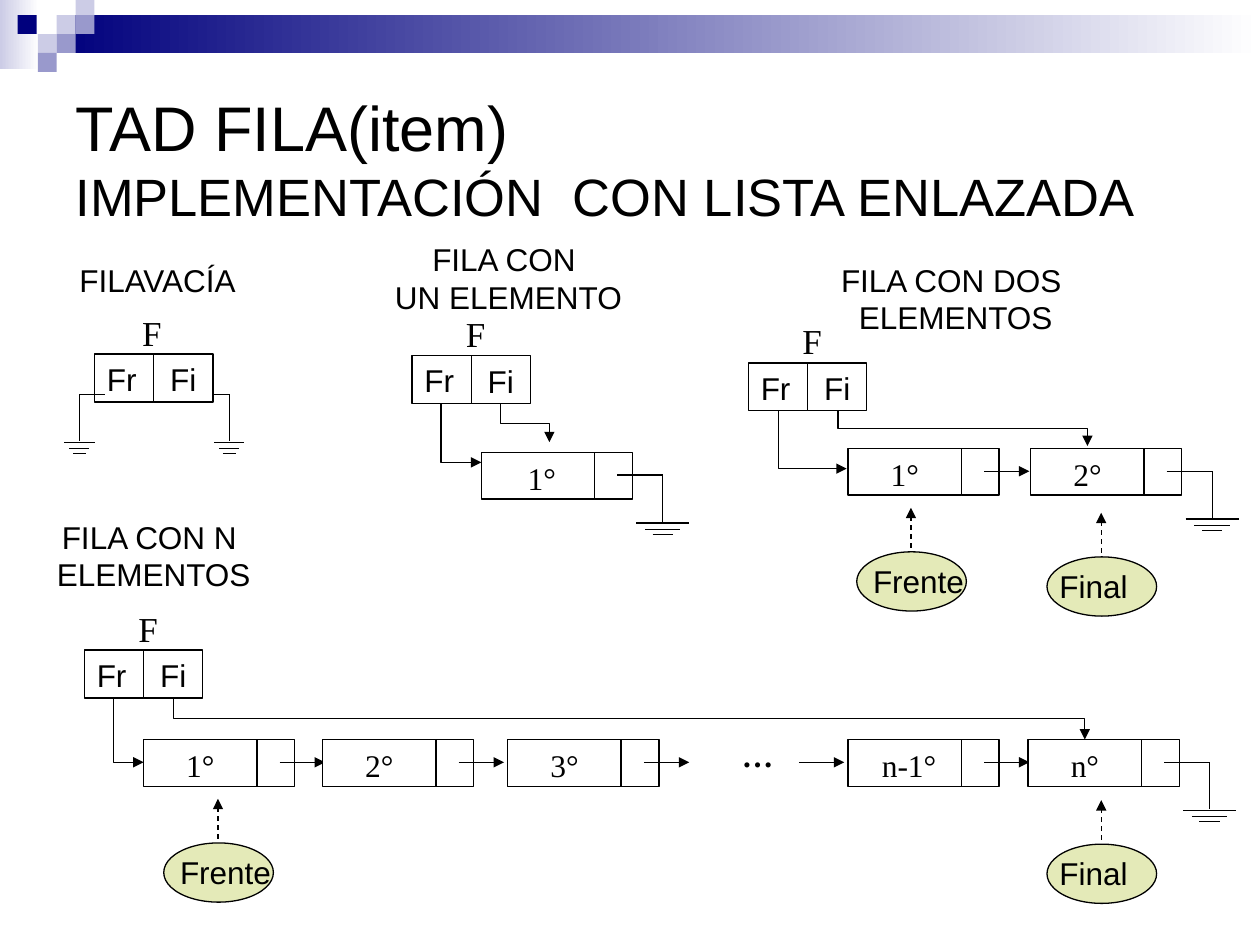
"""Build a slide that shows queues implemented with linked lists."""
from dataclasses import dataclass
from typing import Optional

from lxml.etree import SubElement
from pptx import Presentation
from pptx.dml.color import RGBColor
from pptx.enum.dml import MSO_LINE_DASH_STYLE as Dash
from pptx.enum.shapes import MSO_CONNECTOR as Connector, MSO_SHAPE as Shape
from pptx.enum.text import MSO_ANCHOR as Anchor, PP_ALIGN as Align
from pptx.oxml.ns import qn
from pptx.util import Inches, Pt

BLACK, WHITE, GREEN = "000000", "FFFFFF", "E4EAB8"
NAVY, LILAC, VIOLET = "00007D", "CCCCE6", "9999CC"
SANS, SERIF = "Arial", "Times New Roman"
LINK_START, LINK_END = 1.08, 1.44


@dataclass
class Header:
    left: float
    top: float
    name_gap: float = 0.24


@dataclass
class Node:
    left: float
    top: float
    label: str
    link: str = "arrow"
    label_gap: float = 0.24
    label_width: float = 0.54


@dataclass
class Marker:
    left: float
    top: float
    label: str
    label_gap: float
    label_width: float


@dataclass
class Caption:
    left: float
    top: float
    width: float
    height: float
    text: str


def color(value: str) -> RGBColor:
    """Turn a hex string into a colour."""
    return RGBColor.from_string(value)


def apply_format(target, values: dict) -> None:
    """Set every format value on the target."""
    for name, value in values.items():
        setattr(target, name, value)


def format_text(frame, size: float, font: str, align=Align.CENTER, bold: bool = False) -> None:
    """Give all paragraphs of a frame one look."""
    for paragraph in frame.paragraphs:
        paragraph.alignment = align
        for run in paragraph.runs:
            apply_format(run.font, {"size": Pt(size), "name": font, "bold": bold})
            run.font.color.rgb = color(BLACK)


def draw_shape(slide, kind, left: float, top: float, width: float, height: float,
               fill: str, line: Optional[str] = BLACK):
    """Draw a filled preset shape, outlined unless line is None."""
    shape = slide.shapes.add_shape(kind, Inches(left), Inches(top), Inches(width), Inches(height))
    shape.shadow.inherit = False
    shape.fill.solid()
    shape.fill.fore_color.rgb = color(fill)
    if line:
        shape.line.color.rgb = color(line)
        shape.line.width = Pt(0.75)
    else:
        shape.line.fill.background()
    return shape


def draw_text(slide, left: float, top: float, width: float, height: float, text: str,
              size: float = 18, font: str = SANS, align=Align.CENTER,
              wrap: bool = True, bold: bool = False) -> None:
    """Draw a text box."""
    box = slide.shapes.add_textbox(Inches(left), Inches(top), Inches(width), Inches(height))
    box.text_frame.word_wrap = wrap
    box.text_frame.text = text
    format_text(box.text_frame, size, font, align, bold)


def style_connector(connector, arrow: bool, weight: float = 0.75, dashed: bool = False) -> None:
    """Set the stroke and arrowhead of a connector and drop its shadow."""
    connector.line.color.rgb = color(BLACK)
    connector.line.width = Pt(weight)
    if dashed:
        connector.line.dash_style = Dash.DASH
    properties = connector._element.spPr
    if arrow:
        SubElement(properties.find(qn("a:ln")), qn("a:tailEnd")).set("type", "triangle")
    SubElement(properties, qn("a:effectLst"))


def draw_line(slide, x1: float, y1: float, x2: float, y2: float, arrow: bool = False,
              weight: float = 0.75, dashed: bool = False) -> None:
    """Draw a straight line or arrow."""
    connector = slide.shapes.add_connector(
        Connector.STRAIGHT, Inches(x1), Inches(y1), Inches(x2), Inches(y2))
    style_connector(connector, arrow, weight, dashed)


def draw_elbow(slide, x1: float, y1: float, x2: float, y2: float, kind: str) -> None:
    """Draw a bent arrow that leaves downwards, as a mirrored quarter turn."""
    middle_x, middle_y = (x1 + x2) / 2, (y1 + y2) / 2
    half_width, half_height = (y2 - y1) / 2, (x2 - x1) / 2
    connector = slide.shapes.add_connector(
        Connector.ELBOW,
        Inches(middle_x - half_width), Inches(middle_y - half_height),
        Inches(middle_x + half_width), Inches(middle_y + half_height))
    properties = connector._element.spPr
    properties.find(qn("a:prstGeom")).set("prst", kind)
    for name, value in {"rot": "16200000", "flipH": "1"}.items():
        properties.find(qn("a:xfrm")).set(name, value)
    style_connector(connector, arrow=True)


def draw_ground(slide, start: float, stem: float, top: float,
                half_widths: tuple, weight: float = 0.75) -> None:
    """Draw the null symbol: a lead, a stem and three shrinking bars."""
    draw_line(slide, start, top, stem, top)
    draw_line(slide, stem, top, stem, top + 0.37, weight=weight)
    for half_width, drop in zip(half_widths, (0.38, 0.43, 0.47)):
        draw_line(slide, stem - half_width, top + drop, stem + half_width, top + drop)


def draw_header(slide, header: Header) -> None:
    """Draw the F record with its Fr and Fi cells."""
    left, top = header.left, header.top
    draw_text(slide, left + header.name_gap, top - 0.39, 0.53, 0.57, "F", 20, SERIF)
    draw_shape(slide, Shape.RECTANGLE, left, top, 0.47, 0.38, WHITE)
    draw_text(slide, left, top, 0.47, 0.4, "Fr", align=Align.LEFT)
    cell = draw_shape(slide, Shape.RECTANGLE, left + 0.47, top, 0.47, 0.38, WHITE)
    cell.text_frame.text = "Fi"
    cell.text_frame.vertical_anchor = Anchor.TOP
    format_text(cell.text_frame, 18, SANS)


def draw_node(slide, node: Node) -> None:
    """Draw a list node with its outgoing link."""
    left, top = node.left, node.top
    draw_shape(slide, Shape.RECTANGLE, left, top, 0.9, 0.37, WHITE)
    draw_shape(slide, Shape.RECTANGLE, left + 0.9, top, 0.3, 0.37, WHITE)
    draw_text(slide, left + node.label_gap, top, node.label_width, 0.56, node.label,
              font=SERIF, align=Align.LEFT)
    start, end, middle = left + LINK_START, left + LINK_END, top + 0.18
    if node.link == "arrow":
        draw_line(slide, start, middle, end, middle, arrow=True)
    else:
        draw_ground(slide, start, end, middle, (0.21, 0.14, 0.08), 0.5)


def draw_marker(slide, marker: Marker) -> None:
    """Draw an oval label with a dashed arrow upwards."""
    left, top = marker.left, marker.top
    draw_line(slide, left + 0.43, top + 0.04, left + 0.43, top - 0.35, arrow=True, dashed=True)
    draw_shape(slide, Shape.OVAL, left, top, 0.87, 0.47, GREEN)
    draw_text(slide, left + marker.label_gap, top + 0.03, marker.label_width, 0.4,
              marker.label, wrap=False)


def draw_banner(slide) -> None:
    """Draw the gradient bars and the mosaic of squares."""
    for left, top, width, height, start in ((0, -0.03, 0.31, 0.58, LILAC),
                                            (0.45, 0.12, 9.55, 0.3, NAVY)):
        bar = draw_shape(slide, Shape.RECTANGLE, left, top, width, height, WHITE, None)
        bar.fill.gradient()
        bar.fill.gradient_angle = 0
        for stop, value in zip(bar.fill.gradient_stops, (start, WHITE)):
            stop.color.rgb = color(value)
    for left, top, fill in ((0.45, 0.12, LILAC), (0.6, -0.03, LILAC), (0.6, 0.12, VIOLET),
                            (0.3, 0.27, LILAC), (0.14, 0.12, NAVY), (0.45, 0.27, VIOLET),
                            (0.3, 0.42, VIOLET)):
        draw_shape(slide, Shape.RECTANGLE, left, top, 0.15, 0.15, fill, None)


def write_title(title) -> None:
    """Fill the title placeholder with two lines."""
    apply_format(title, {"left": Inches(0.5), "top": Inches(0.5),
                         "width": Inches(9), "height": Inches(1.5)})
    title.text_frame.vertical_anchor = Anchor.MIDDLE
    title.text_frame.text = "TAD FILA(item)\vIMPLEMENTACIÓN  CON LISTA ENLAZADA"
    format_text(title.text_frame, 36, SANS, Align.LEFT)
    title.text_frame.paragraphs[0].runs[1].font.size = Pt(30)


CAPTIONS = (Caption(0.51, 2.02, 1.48, 0.4, "FILAVACÍA"),
            Caption(3.03, 1.86, 2.01, 0.7, "FILA CON \nUN ELEMENTO"),
            Caption(6.57, 2.02, 2.03, 0.7, "FILA CON DOS \nELEMENTOS"),
            Caption(0.35, 4.06, 1.74, 0.7, "FILA CON N \nELEMENTOS"))
HEADERS = (Header(0.75, 2.81, 0.19), Header(3.27, 2.82), Header(5.94, 2.88), Header(0.67, 5.16))
NODES = (Node(3.82, 3.59, "1°", "ground", 0.27), Node(6.73, 3.56, "1°"),
         Node(8.18, 3.56, "2°", "ground"), Node(1.14, 5.87, "1°"), Node(2.56, 5.87, "2°"),
         Node(4.03, 5.87, "3°"), Node(6.73, 5.87, "n-1°", "arrow", 0.17, 0.78),
         Node(8.16, 5.87, "n°", "ground"))
ELBOWS = ((3.5, 3.2, 3.82, 3.67, "bentConnector2"), (3.97, 3.21, 4.36, 3.51, "bentConnector3"),
          (6.18, 3.26, 6.72, 3.72, "bentConnector2"), (6.65, 3.26, 8.63, 3.54, "bentConnector3"),
          (0.9, 5.54, 1.14, 6.05, "bentConnector2"), (1.38, 5.54, 8.61, 5.87, "bentConnector3"))
MARKERS = (Marker(6.8, 4.38, "Frente", 0.03, 0.92), Marker(8.31, 4.42, "Final", 0, 0.74),
           Marker(1.3, 6.69, "Frente", 0.03, 0.92), Marker(8.31, 6.7, "Final", 0, 0.74))


def main() -> None:
    """Build and save the presentation."""
    presentation = Presentation()
    apply_format(presentation, {"slide_width": Inches(10), "slide_height": Inches(7.5)})
    slide = presentation.slides.add_slide(presentation.slide_layouts[5])
    draw_banner(slide)
    write_title(slide.shapes.title)
    for caption in CAPTIONS:
        draw_text(slide, caption.left, caption.top, caption.width, caption.height,
                  caption.text, wrap=False)
    for header in HEADERS:
        draw_header(slide, header)
    for start, stem in ((0.83, 0.63), (1.69, 1.82)):
        draw_ground(slide, start, stem, 3.13, (0.12, 0.08, 0.05))
    for node in NODES:
        draw_node(slide, node)
    draw_text(slide, 5.79, 5.79, 0.54, 0.56, "…", font=SERIF, align=Align.LEFT, bold=True)
    draw_line(slide, 6.34, 6.05, 6.7, 6.05, arrow=True)
    for elbow in ELBOWS:
        draw_elbow(slide, *elbow)
    for marker in MARKERS:
        draw_marker(slide, marker)
    presentation.save("out.pptx")


if __name__ == "__main__":
    main()
